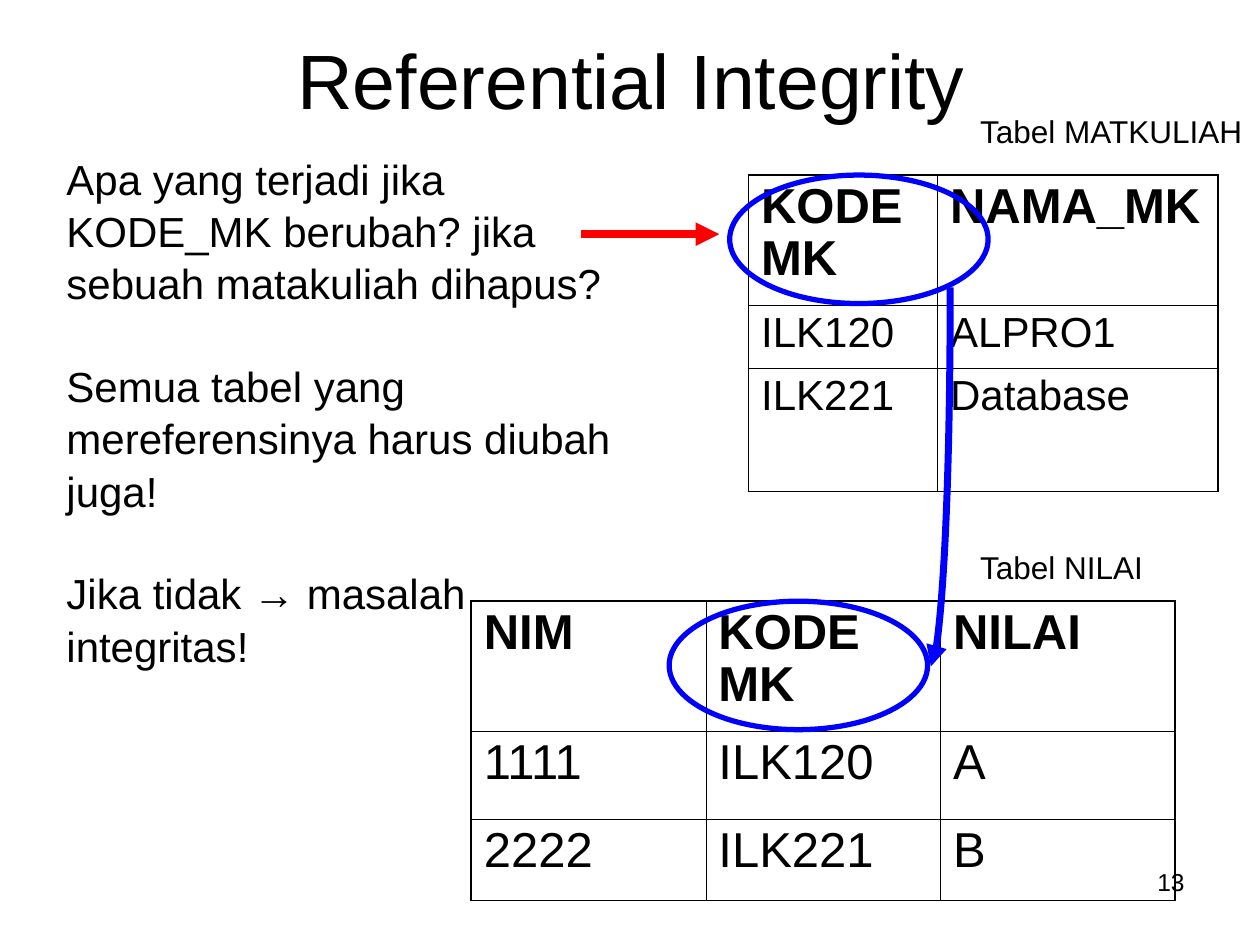
from dataclasses import dataclass

import pptx
import pptx.dml.color
import pptx.enum.shapes
import pptx.enum.text
import pptx.oxml
import pptx.oxml.ns
import pptx.util

Cm = pptx.util.Cm
Pt = pptx.util.Pt
qn = pptx.oxml.ns.qn
Align = pptx.enum.text.PP_ALIGN
Anchor = pptx.enum.text.MSO_ANCHOR
Connector = pptx.enum.shapes.MSO_CONNECTOR

BLACK = pptx.dml.color.RGBColor(0x00, 0x00, 0x00)
BLUE = pptx.dml.color.RGBColor(0x00, 0x00, 0xFF)
RED = pptx.dml.color.RGBColor(0xFF, 0x00, 0x00)
FONT = "Arial"
OUTER_BORDER = Pt(1.08)
INNER_BORDER = Pt(0.45)


@dataclass(frozen=True)
class Label:
    paragraphs: tuple[str, ...]
    left: float
    top: float
    width: float
    height: float
    size: int
    align: Align = Align.LEFT
    anchor: Anchor = Anchor.TOP
    wrap: bool = True
    line_spacing: float = 1.0
    gap: float = 0


@dataclass(frozen=True)
class Relation:
    left: float
    top: float
    columns: tuple[float, ...]
    heights: tuple[float, ...]
    rows: tuple[tuple[str, ...], ...]
    body_size: int


@dataclass(frozen=True)
class Arrow:
    kind: Connector
    start: tuple[float, float]
    end: tuple[float, float]
    color: pptx.dml.color.RGBColor
    width: float


TITLE = Label(("Referential Integrity",), 1.3, 0, 22.86, 3.18, 44,
              Align.CENTER, Anchor.MIDDLE)
LABELS = (
    Label(("Apa yang terjadi jika KODE_MK berubah? jika sebuah matakuliah dihapus?",
           "Semua tabel yang mereferensinya harus diubah juga!",
           "Jika tidak → masalah integritas!"),
          1.09, 2.92, 11.81, 11.43, 24, line_spacing=1.04, gap=28.7),
    Label(("Tabel NILAI",), 19.51, 10.92, 3.86, 1.02, 18, wrap=False),
    Label(("Tabel MATKULIAH",), 19.51, 2.13, 5.89, 1.02, 18, wrap=False),
    Label(("13",), 18.21, 17.35, 5.92, 1.32, 14, Align.RIGHT),
)
NILAI = Relation(
    9.5, 12.12, (4.73,) * 3, (2.62, 1.78, 1.63),
    (("NIM", "KODE MK", "NILAI"), ("1111", "ILK120", "A"), ("2222", "ILK221", "B")),
    28)
MATKULIAH = Relation(
    15.09, 3.53, (3.81, 5.66), (2.62, 1.27, 2.49),
    (("KODE MK", "NAMA_MK"), ("ILK120", "ALPRO1"), ("ILK221", "Database")),
    24)
KEY_RINGS = ((14.71, 3.53), (13.49, 12.12))
RING_SIZE = (5.21, 2.59)
KEY_REFERENCE = Arrow(Connector.CURVE, (15.14, 9.42), (22.78, 9.81), BLUE, 4)
QUESTION_POINTER = Arrow(Connector.STRAIGHT, (11.71, 4.72), (14.5, 4.72), RED, 4.5)


def style_paragraph(paragraph, size: int, bold: bool = False) -> None:
    paragraph.font.name = FONT
    paragraph.font.size = Pt(size)
    paragraph.font.bold = bold
    paragraph.font.color.rgb = BLACK


def draw_label(slide, label: Label) -> None:
    frame = slide.shapes.add_textbox(
        Cm(label.left), Cm(label.top), Cm(label.width), Cm(label.height)).text_frame
    frame.word_wrap = label.wrap
    frame.vertical_anchor = label.anchor
    for index, text in enumerate(label.paragraphs):
        paragraph = frame.add_paragraph() if index else frame.paragraphs[0]
        paragraph.text = text
        paragraph.alignment = label.align
        if label.line_spacing != 1:
            paragraph.line_spacing = label.line_spacing
        if index:
            paragraph.space_before = Pt(label.gap)
        style_paragraph(paragraph, label.size)


def add_border(cell, side: str, width: int) -> None:
    border = pptx.oxml.parse_xml(
        f'<a:{side} xmlns:a="http://schemas.openxmlformats.org/drawingml/2006/main" '
        f'w="{int(width)}"><a:solidFill><a:srgbClr val="{BLACK}"/></a:solidFill></a:{side}>')
    cell._tc.get_or_add_tcPr().append(border)


def draw_relation(slide, relation: Relation) -> None:
    last_row = len(relation.heights) - 1
    last_column = len(relation.columns) - 1
    table = slide.shapes.add_table(
        last_row + 1, last_column + 1, Cm(relation.left), Cm(relation.top),
        Cm(sum(relation.columns)), Cm(sum(relation.heights))).table
    table.first_row = False
    table.horz_banding = False
    for column, width in zip(table.columns, relation.columns):
        column.width = Cm(width)
    for r, values in enumerate(relation.rows):
        table.rows[r].height = Cm(relation.heights[r])
        for c, value in enumerate(values):
            cell = table.cell(r, c)
            cell.text = value
            paragraph = cell.text_frame.paragraphs[0]
            paragraph.line_spacing = 0.96
            style_paragraph(paragraph, relation.body_size if r else 28, r == 0)
            outer_sides = {"lnL": c == 0, "lnR": c == last_column,
                           "lnT": r == 0, "lnB": r == last_row}
            for side, is_outer in outer_sides.items():
                add_border(cell, side, OUTER_BORDER if is_outer else INNER_BORDER)
            cell.fill.background()


def draw_key_ring(slide, left: float, top: float) -> None:
    ring = slide.shapes.add_shape(
        pptx.enum.shapes.MSO_SHAPE.OVAL, Cm(left), Cm(top), *map(Cm, RING_SIZE))
    ring.shadow.inherit = False
    ring.fill.background()
    ring.line.color.rgb = BLUE
    ring.line.width = Pt(3)


def draw_arrow(slide, arrow: Arrow):
    connector = slide.shapes.add_connector(
        arrow.kind, *map(Cm, arrow.start), *map(Cm, arrow.end))
    connector.line.color.rgb = arrow.color
    connector.line.width = Pt(arrow.width)
    head = connector.line._get_or_add_ln().makeelement(qn("a:tailEnd"), {"type": "triangle"})
    connector.line._get_or_add_ln().append(head)
    properties = connector._element.spPr
    properties.append(properties.makeelement(qn("a:effectLst"), {}))
    return connector


def bend_downward(connector) -> None:
    properties = connector._element.spPr
    properties.find(qn("a:xfrm")).set("rot", str(90 * 60000))
    properties.find(qn("a:prstGeom")).set("prst", "curvedConnector2")


def main() -> None:
    presentation = pptx.Presentation()
    presentation.slide_width = Cm(25.4)
    presentation.slide_height = Cm(19.05)
    slide = presentation.slides.add_slide(presentation.slide_layouts[6])

    draw_label(slide, TITLE)
    for relation in (NILAI, MATKULIAH):
        draw_relation(slide, relation)
    for left, top in KEY_RINGS:
        draw_key_ring(slide, left, top)
    bend_downward(draw_arrow(slide, KEY_REFERENCE))
    draw_arrow(slide, QUESTION_POINTER)
    for label in LABELS:
        draw_label(slide, label)

    presentation.save("out.pptx")


if __name__ == "__main__":
    main()
